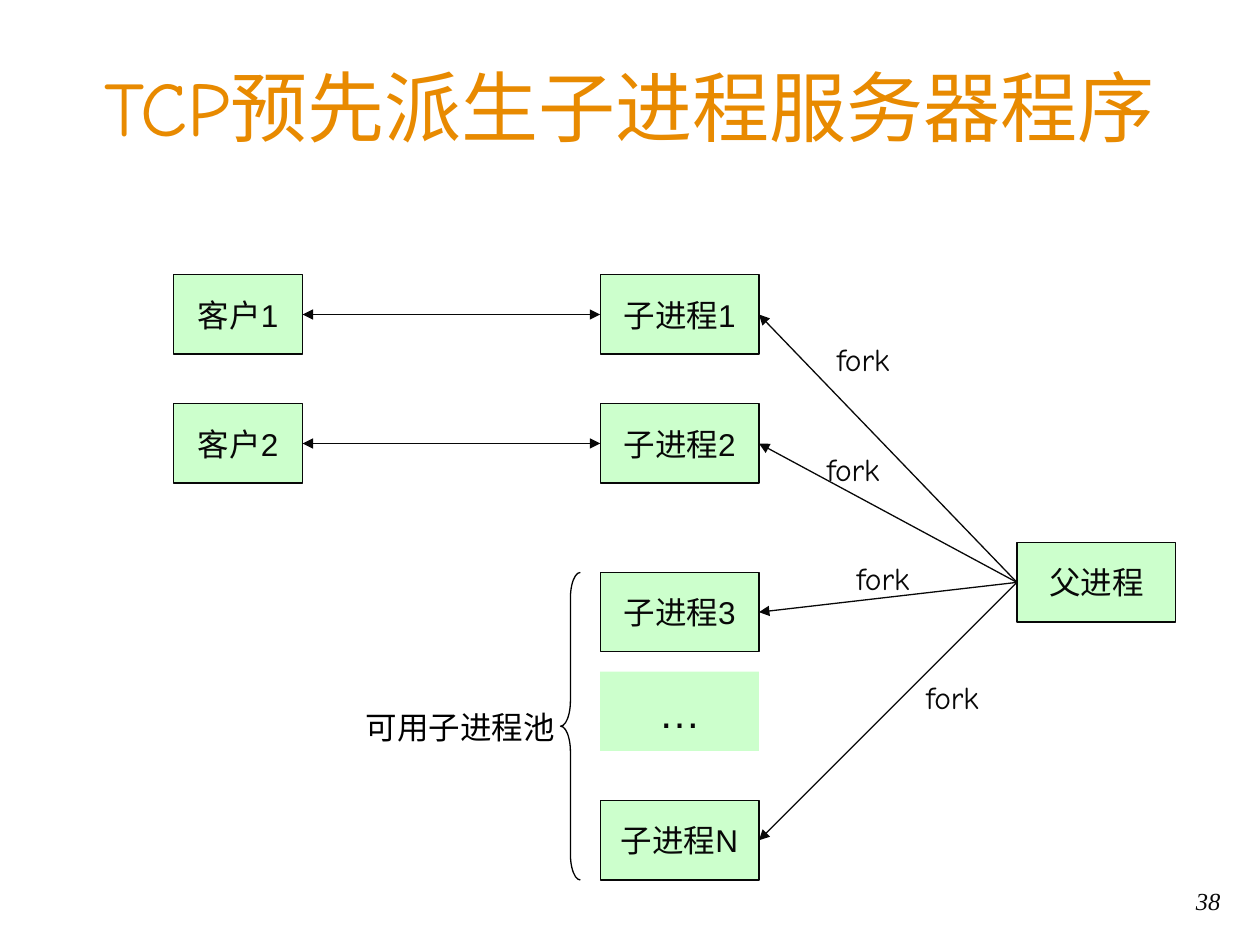
import pptx
import pptx.dml.color
import pptx.enum.shapes
import pptx.enum.text
import pptx.oxml
import pptx.oxml.ns
import pptx.util
from lxml import etree

SHAPES = pptx.enum.shapes.MSO_SHAPE
ALIGN = pptx.enum.text.PP_ALIGN
ANCHOR = pptx.enum.text.MSO_ANCHOR


def color(value):
    return pptx.dml.color.RGBColor.from_string(value)


class Diagram:
    """Draws diagram elements on one slide, on a grid of 2 mm columns and rows."""

    step, left, top = pptx.util.Mm(2), 0.5, 0.7
    ink, black, fill, accent = "080808", "000000", "CCFFCC", "E88A00"
    sans, comic, serif = "Arial", "Comic Neue", "Times New Roman"

    def __init__(self, slide):
        self.slide = slide

    def point(self, col, row):
        return round((col + self.left) * self.step), round((row + self.top) * self.step)

    def area(self, col, row, cols, rows):
        return (*self.point(col, row), round(cols * self.step), round(rows * self.step))

    def set_text(self, shape, words, size, font, ink, align, anchor, wrap=False, italic=False):
        frame = shape.text_frame
        frame.word_wrap = wrap
        frame.vertical_anchor = anchor
        paragraph = frame.paragraphs[0]
        paragraph.text = words
        paragraph.alignment = align
        style = paragraph.font
        style.size, style.name, style.italic = pptx.util.Pt(size), font, italic
        style.color.rgb = color(ink)

    def outline(self, line, ink):
        line.color.rgb = color(ink)
        line.width = pptx.util.Pt(0.75)

    def box(self, words, col, row, cols=16, size=18, outlined=True):
        shape = self.slide.shapes.add_shape(SHAPES.RECTANGLE, *self.area(col, row, cols, 8))
        shape.shadow.inherit = False
        shape.fill.solid()
        shape.fill.fore_color.rgb = color(self.fill)
        if outlined:
            self.outline(shape.line, self.ink)
        else:
            shape.line.fill.background()
        self.set_text(shape, words, size, self.sans, self.ink, ALIGN.CENTER, ANCHOR.MIDDLE)

    def label(self, words, col, row, cols, rows=5, size=18, font=comic, ink=ink,
              align=ALIGN.LEFT, anchor=ANCHOR.TOP, **style):
        shape = self.slide.shapes.add_textbox(*self.area(col, row, cols, rows))
        self.set_text(shape, words, size, font, ink, align, anchor, **style)

    def arrow(self, start, end, both=False):
        link = self.slide.shapes.add_connector(
            pptx.enum.shapes.MSO_CONNECTOR.STRAIGHT, *self.point(*start), *self.point(*end))
        self.outline(link.line, self.ink)
        line = link.line._get_or_add_ln()
        for tip in ("a:headEnd", "a:tailEnd") if both else ("a:tailEnd",):
            etree.SubElement(line, pptx.oxml.ns.qn(tip), type="triangle")
        etree.SubElement(link._element.spPr, pptx.oxml.ns.qn("a:effectLst"))

    def brace(self, col, row, cols, rows):
        shape = self.slide.shapes.add_shape(SHAPES.LEFT_BRACE, *self.area(col, row, cols, rows))
        shape.shadow.inherit = False
        shape.adjustments[0] = 1.29
        shape.fill.background()
        self.outline(shape.line, self.black)


def main():
    deck = pptx.Presentation()
    deck.slide_width, deck.slide_height = pptx.util.Inches(10), pptx.util.Inches(7.5)
    diagram = Diagram(deck.slides.add_slide(deck.slide_layouts[6]))

    diagram.label("TCP预先派生子进程服务器程序", 3.7, 2, 118.6, 15.9, size=44,
                  ink=diagram.accent, align=ALIGN.CENTER, anchor=ANCHOR.MIDDLE, wrap=True)

    client_col, child_col, parent_col = 17, 60, 102
    client_cols, child_cols, half = 13, 16, 4
    client_rows = {"1": 27, "2": 40}
    child_rows = {**client_rows, "3": 57, "N": 80}
    parent_row = 54

    for number, row in client_rows.items():
        diagram.box("客户" + number, client_col, row, client_cols)
    for number, row in child_rows.items():
        diagram.box("子进程" + number, child_col, row)
    diagram.box("…", child_col, 67, size=24, outlined=False)
    diagram.box("父进程", parent_col, parent_row)

    for row in child_rows.values():
        diagram.arrow((parent_col, parent_row + half), (child_col + child_cols, row + half))
    for row in client_rows.values():
        diagram.arrow((client_col + client_cols, row + half), (child_col, row + half), both=True)

    diagram.brace(56, child_rows["3"], 2, 31)
    diagram.label("可用子进程池", 35.1, 70, 21.6, font=diagram.sans, ink=diagram.black)
    for col, row in ((82.6, 33), (81.6, 44), (84.6, 55), (91.6, 67)):
        diagram.label("fork", col, row, 7.9)
    diagram.label("38", 92, 88, 31.75, 6.6, size=14, font=diagram.serif,
                  align=ALIGN.RIGHT, wrap=True, italic=True)
    deck.save("out.pptx")


if __name__ == "__main__":
    main()
